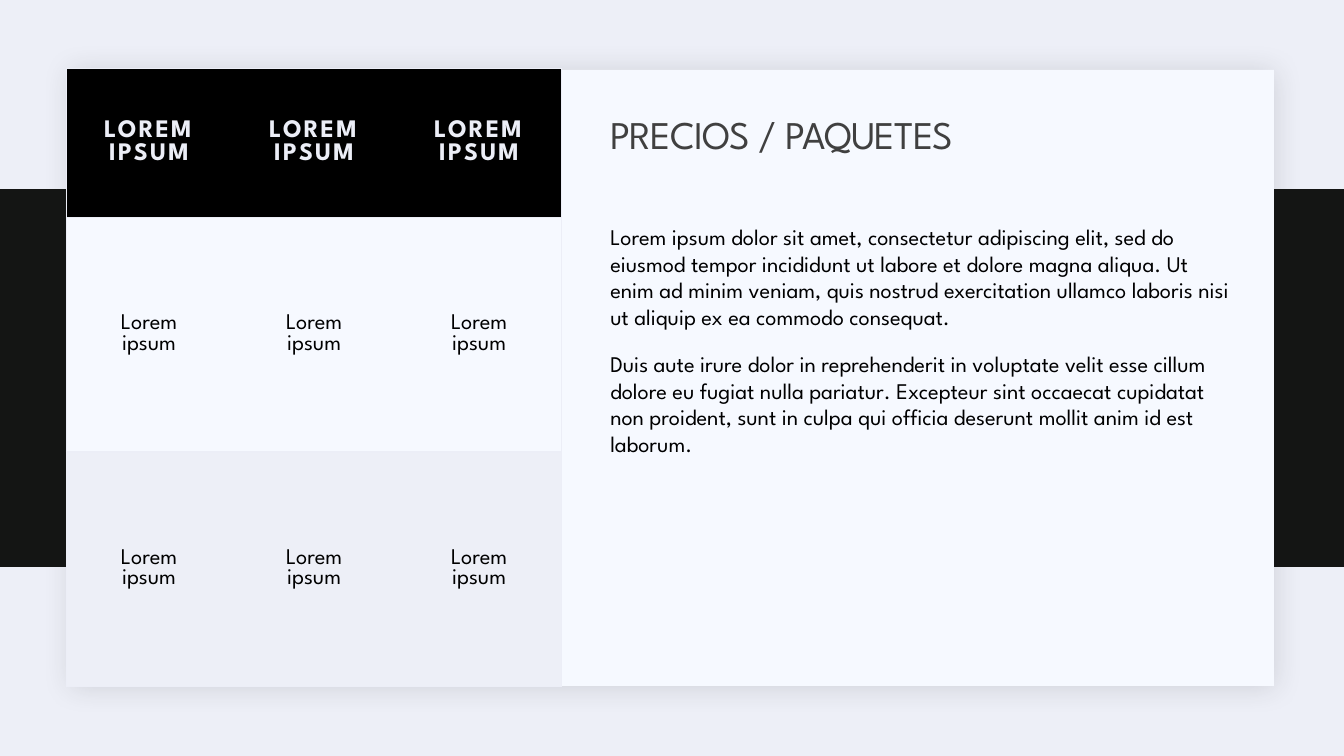
from lxml.etree import SubElement
from pptx import Presentation
from pptx.dml.color import RGBColor
from pptx.enum.shapes import MSO_SHAPE
from pptx.enum.text import MSO_ANCHOR, MSO_AUTO_SIZE, PP_ALIGN
from pptx.oxml.ns import qn
from pptx.util import Pt

FONT = "League Spartan"
BLACK, GREY, BAND = "000000", "404040", "141514"
PAPER, MIST, RULE = "F6F9FF", "EDEFF7", "ECEEF7"

TITLE = "PRECIOS / PAQUETES"
PARAGRAPHS = [
    "Lorem ipsum dolor sit amet, consectetur adipiscing elit, sed do eiusmod tempor "
    "incididunt ut labore et dolore magna aliqua. Ut enim ad minim veniam, quis nostrud "
    "exercitation ullamco laboris nisi ut aliquip ex ea commodo consequat.",
    "Duis aute irure dolor in reprehenderit in voluptate velit esse cillum dolore eu "
    "fugiat nulla pariatur. Excepteur sint occaecat cupidatat non proident, sunt in culpa "
    "qui officia deserunt mollit anim id est laborum.",
]
PRICES = [["LOREM IPSUM"] * 3, ["Lorem ipsum"] * 3, ["Lorem ipsum"] * 3]
ROW_HEIGHTS = [106.3, 167.6, 167.6]
ROW_FILLS = [BLACK, PAPER, MIST]


def paint(color_format, color):
    color_format.rgb = RGBColor.from_string(color)


def fill_solid(fill, color):
    fill.solid()
    paint(fill.fore_color, color)


def add_run(paragraph, text, size, color, bold=False, spacing=0):
    """Add a run; spacing is the extra space between letters in points."""
    run = paragraph.add_run()
    run.text = text
    run.font.name = FONT
    run.font.size = Pt(size)
    run.font.bold = bold
    paint(run.font.color, color)
    if spacing:
        run.font._element.set("spc", str(round(spacing * 100)))


def place(shape, box):
    shape.left, shape.top, shape.width, shape.height = map(Pt, box)


def add_rectangle(slide, box, color):
    shape = slide.shapes.add_shape(MSO_SHAPE.RECTANGLE, *map(Pt, box))
    shape.shadow.inherit = False
    fill_solid(shape.fill, color)
    shape.line.fill.background()
    return shape


def add_soft_shadow(shape):
    effects = shape._element.spPr.find(qn("a:effectLst"))
    shadow = SubElement(effects, qn("a:outerShdw"), blurRad=str(Pt(20)), dist=str(Pt(2)),
                        dir="2700000", algn="ctr", rotWithShape="0")
    color = SubElement(shadow, qn("a:srgbClr"), val="1F2125")
    SubElement(color, qn("a:alpha"), val="15000")


def add_backdrop(slide, band_box, card_box):
    """Put the dark band and the card behind the placeholders."""
    fill_solid(slide.background.fill, MIST)
    band = add_rectangle(slide, band_box, BAND)
    card = add_rectangle(slide, card_box, PAPER)
    add_soft_shadow(card)
    title_element = slide.shapes.title._element
    for shape in (band, card):
        title_element.addprevious(shape._element)


def set_blank_bullet(paragraph):
    """Hang the paragraph on a bullet that is a single space."""
    properties = paragraph._p.get_or_add_pPr()
    properties.set("marL", str(Pt(7.2)))
    properties.set("indent", str(Pt(-7.2)))
    color = SubElement(properties, qn("a:buClr"))
    SubElement(color, qn("a:srgbClr"), val=BLACK)
    SubElement(properties, qn("a:buChar"), char=" ")


def fill_text_panel(slide, box):
    left, top, width, height = box
    title = slide.shapes.title
    place(title, (left, top, width, 46))
    frame = title.text_frame
    frame.auto_size = MSO_AUTO_SIZE.NONE
    frame.vertical_anchor = MSO_ANCHOR.MIDDLE
    paragraph = frame.paragraphs[0]
    paragraph.alignment = PP_ALIGN.LEFT
    paragraph.line_spacing = 0.9
    add_run(paragraph, TITLE, 28, GREY, spacing=-0.5)

    body = slide.placeholders[1]
    place(body, (left, top + 81, width, height - 81))
    frame = body.text_frame
    frame.auto_size = MSO_AUTO_SIZE.NONE
    frame.vertical_anchor = MSO_ANCHOR.TOP
    frame.margin_left = frame.margin_right = 0
    for index, text in enumerate(PARAGRAPHS):
        paragraph = frame.add_paragraph() if index else frame.paragraphs[0]
        paragraph.line_spacing = 1.0
        paragraph.space_before = Pt(12)
        paragraph.space_after = Pt(2)
        set_blank_bullet(paragraph)
        add_run(paragraph, text, 16, BLACK)


def set_borders(cell, ruled_sides):
    """Rule the given sides (L, R, T, B) and clear the others."""
    properties = cell._tc.get_or_add_tcPr()
    for side in "LRTB":
        line = SubElement(properties, qn(f"a:ln{side}"), w=str(Pt(1)))
        if side in ruled_sides:
            fill = SubElement(line, qn("a:solidFill"))
            SubElement(fill, qn("a:srgbClr"), val=RULE)
        else:
            SubElement(line, qn("a:noFill"))


def add_price_table(slide, box):
    columns = len(PRICES[0])
    table = slide.shapes.add_table(len(PRICES), columns, *map(Pt, box)).table
    table.first_row = table.horz_banding = False
    for column in table.columns:
        column.width = Pt(box[2] / columns)
    for row_index, texts in enumerate(PRICES):
        table.rows[row_index].height = Pt(ROW_HEIGHTS[row_index])
        for column_index, text in enumerate(texts):
            cell = table.cell(row_index, column_index)
            outer_side = {0: "L", columns - 1: "R"}.get(column_index, "")
            set_borders(cell, "TB" + outer_side)
            fill_solid(cell.fill, ROW_FILLS[row_index])
            cell.vertical_anchor = MSO_ANCHOR.MIDDLE
            cell.margin_left = cell.margin_right = Pt(18)
            cell.margin_top = cell.margin_bottom = Pt(18)
            paragraph = cell.text_frame.paragraphs[0]
            paragraph.alignment = PP_ALIGN.CENTER
            if row_index == 0:
                add_run(paragraph, text, 18, RULE, bold=True, spacing=1.5)
            else:
                add_run(paragraph, text, 16, BLACK)


def main():
    presentation = Presentation()
    presentation.slide_width, presentation.slide_height = Pt(960), Pt(540)
    slide = presentation.slides.add_slide(presentation.slide_layouts[1])
    add_backdrop(slide, (0, 135, 960, 270), (50, 50, 860, 440))
    fill_text_panel(slide, (428.7, 74.5, 450, 392))
    add_price_table(slide, (47.5, 49, 353.7, sum(ROW_HEIGHTS)))
    presentation.save("out.pptx")


if __name__ == "__main__":
    main()
